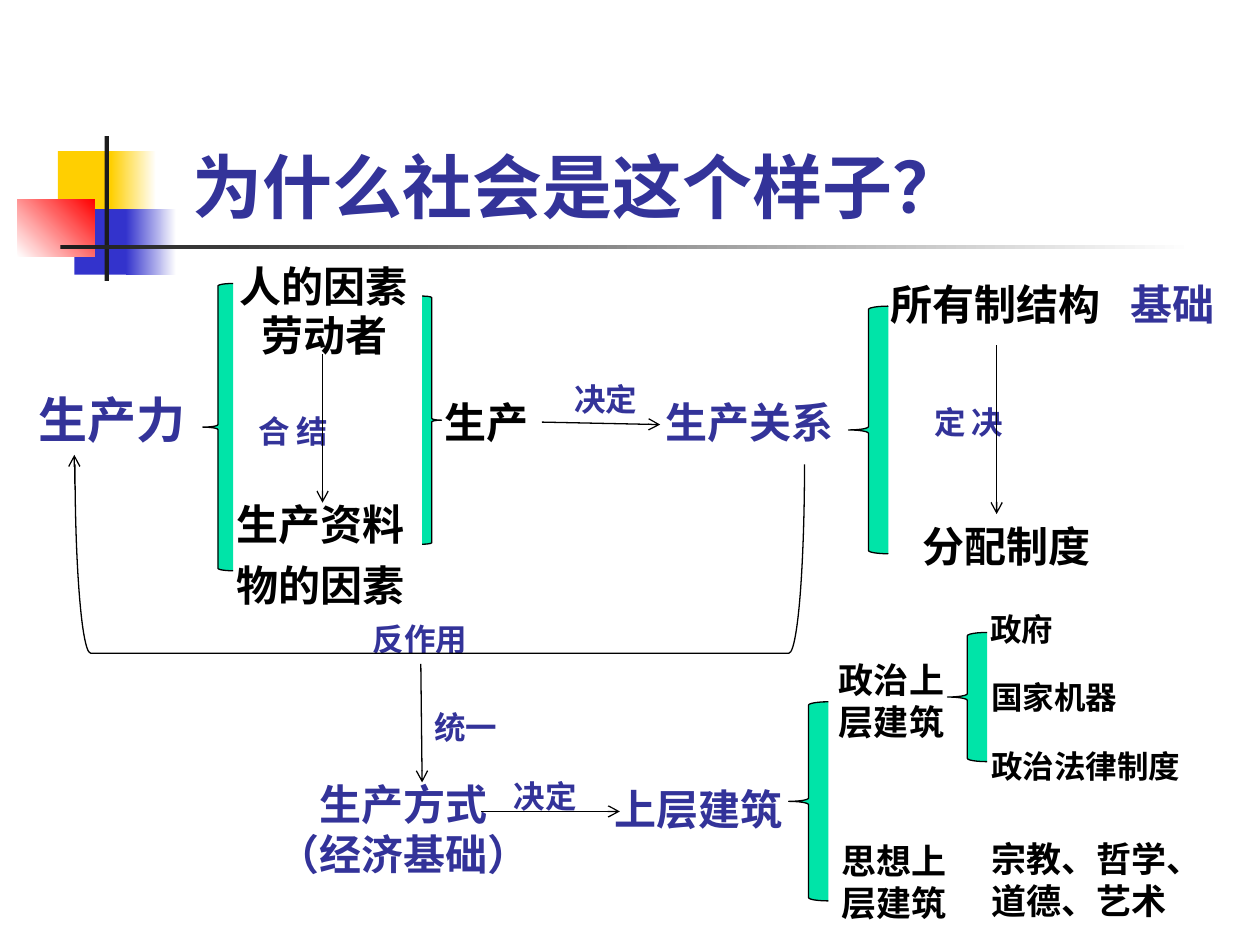
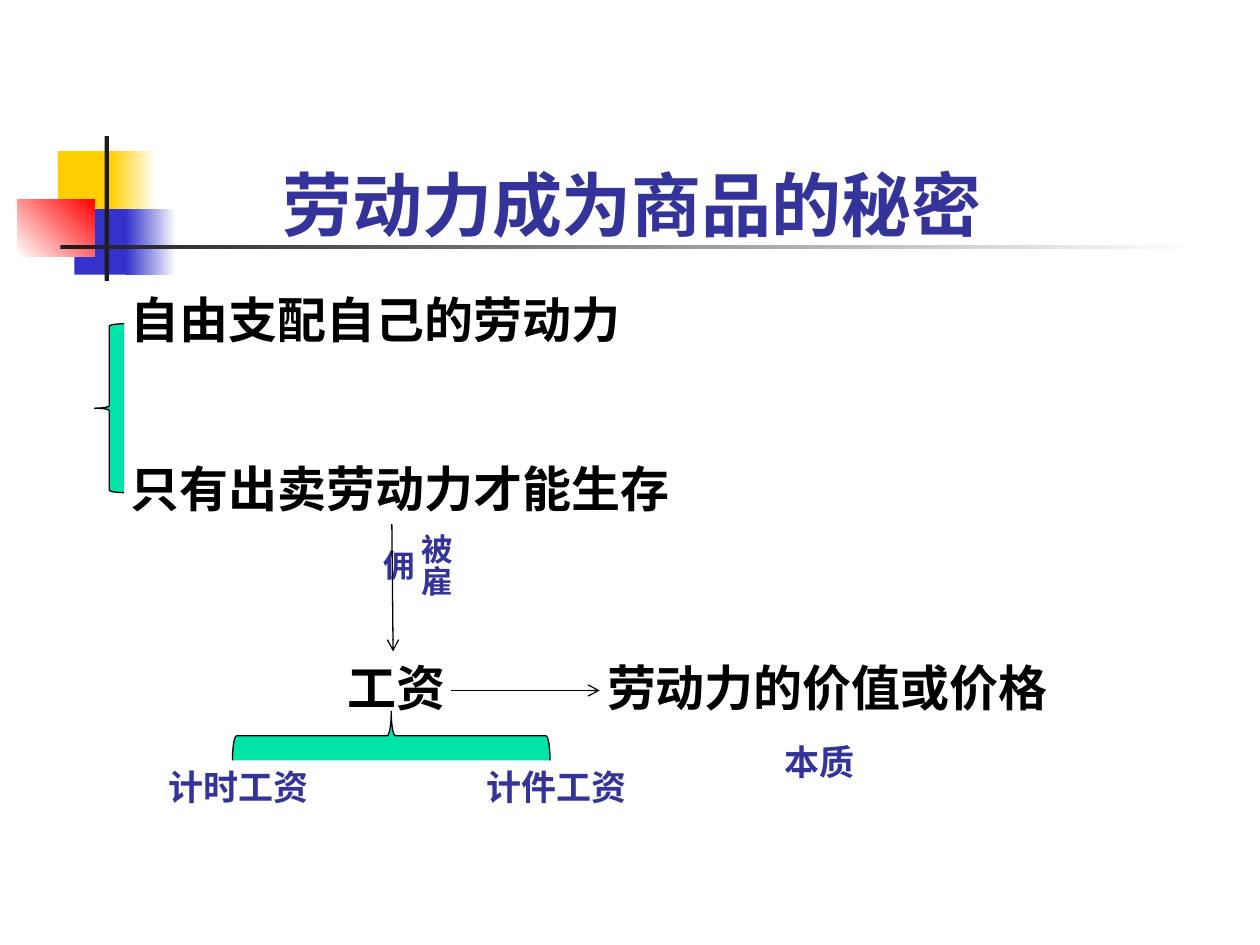
from dataclasses import dataclass, field

from lxml import etree
from pptx import Presentation
from pptx import util as u
from pptx.dml.color import RGBColor
from pptx.enum import lang, shapes, text
from pptx.oxml.ns import qn

COLUMNS, ROWS = 100, 75
TITLE_ONLY = 5


@dataclass(frozen=True)
class Theme:
    font: str = "Arial"
    ink: str = "000000"
    accent: str = "333399"
    brace: str = "00E4A8"
    white: str = "FFFFFF"
    yellow: str = "FFCF01"
    blue: str = "3333CC"
    red: str = "FF0000"
    rule: str = "1C1C1C"
    title: int = 40
    large: int = 28
    medium: int = 24
    small: int = 20
    note: int = 18
    line: float = 0.75


THEME = Theme()


@dataclass(frozen=True)
class Block:
    left: float
    top: float
    width: float
    height: float
    start: str
    end: str | None = None
    angle: int = 0


@dataclass(frozen=True)
class Label:
    words: str
    left: float
    top: float
    size: int = THEME.medium
    color: str = THEME.ink
    width: float | None = None
    centered: bool = False
    column_height: float | None = None


@dataclass(frozen=True)
class Brace:
    left: float
    top: float
    width: float
    height: float
    kind: shapes.MSO_SHAPE = shapes.MSO_SHAPE.LEFT_BRACE
    rotation: int = 0
    fill: str | None = THEME.brace


@dataclass(frozen=True)
class Arrow:
    x1: float
    y1: float
    x2: float
    y2: float


@dataclass(frozen=True)
class Diagram:
    title: Label
    labels: list[Label] = field(default_factory=list)
    braces: list[Brace] = field(default_factory=list)
    arrows: list[Arrow] = field(default_factory=list)


def accent(words: str, left: float, top: float, size: int = THEME.note, **options) -> Label:
    return Label(words, left, top, size, THEME.accent, **options)


MASTER_BLOCKS = [
    Block(4.6, 12, 4.8, 5.2, THEME.yellow),
    Block(8.8, 12, 3.6, 5.2, THEME.yellow, THEME.white),
    Block(5.9, 16.6, 4.6, 5.2, THEME.blue),
    Block(10, 16.6, 4, 5.2, THEME.blue, THEME.white),
    Block(1.4, 15.8, 6.1, 4.6, THEME.white, THEME.red, 45),
    Block(8.3, 10.8, 0.35, 11.5, THEME.rule),
    Block(4.8, 19.45, 90, 0.35, THEME.rule, THEME.white),
]

SOCIETY = Diagram(
    title=accent("为什么社会是这个样子？", 14.3, 10.9, THEME.title, width=64.3),
    labels=[
        accent("生产力", 2.1, 30.4, THEME.large),
        Label("人的因素", 18, 20.2),
        Label("劳动者", 19.8, 24.1),
        Label("物的因素", 17.8, 43.9),
        Label("生产资料", 17.8, 39.1),
        accent("结合", 21.7, 32, column_height=6.3),
        Label("生产", 34.3, 31),
        accent("决定", 44.6, 29.7),
        accent("生产关系", 51.8, 31, THEME.medium, width=16.1),
        Label("所有制结构", 69.7, 21.6, width=19.9),
        accent("基础", 88.7, 21.6, THEME.medium),
        accent("决定", 75.3, 31.3, column_height=6.3),
        Label("分配制度", 72.2, 40.8),
        accent("反作用", 28.6, 48.7),
        accent("统一", 33.5, 55.7),
        accent("生产方式\n（经济基础）", 21, 61.3, THEME.medium, centered=True),
        accent("决定", 39.8, 61.2),
        accent("上层建筑", 47.8, 61.7, THEME.medium),
        Label("政治上\n层建筑", 65.6, 51.8, THEME.small),
        Label("政府", 77.6, 47.9, THEME.note),
        Label("国家机器", 77.7, 53.3, THEME.note),
        Label("政治法律制度", 77.7, 58.8, THEME.note),
        Label("思想上\n层建筑", 65.8, 66.1, THEME.small),
        Label("宗教、哲学、\n道德、艺术", 77.7, 66, THEME.small),
    ],
    braces=[
        Brace(16.1, 22.5, 2.4, 22.8),
        Brace(33.5, 23.5, 1.55, 19.7, shapes.MSO_SHAPE.RIGHT_BRACE),
        Brace(67.35, 24.3, 3.15, 19.65),
        Brace(62.6, 55.7, 3.15, 15.8),
        Brace(75.2, 50.2, 3.15, 10.25),
        Brace(27.4, 15.4, 15, 57.9, shapes.MSO_SHAPE.RIGHT_BRACKET, 90, None),
    ],
    arrows=[
        Arrow(25.6, 28.1, 25.6, 39.9),
        Arrow(43, 33.5, 52.4, 33.7),
        Arrow(79.1, 27.4, 79.1, 40.8),
        Arrow(33.4, 52.7, 33.5, 62.1),
        Arrow(38.2, 64.4, 49.2, 64.4),
        Arrow(5.9, 38.4, 5.9, 36.1),
    ],
)

LABOUR = Diagram(
    title=accent("劳动力成为商品的秘密", 21.4, 12.3, THEME.title),
    labels=[
        Label("自由支配自己的劳动力", 9.4, 22.5, THEME.large),
        Label("只有出卖劳动力才能生存", 9.4, 35.9, THEME.large),
        accent("被雇佣", 31.6, 41.4, column_height=9.4, centered=True),
        Label("工资", 24.8, 51.7, THEME.large, width=13.4, centered=True),
        Label("劳动力的价值或价格", 47.2, 51.7, THEME.large),
        accent("本质", 61.3, 58.3, THEME.small),
        accent("计时工资", 12.4, 60.3, THEME.small),
        accent("计件工资", 37.6, 60.3, THEME.small),
    ],
    braces=[
        Brace(7.5, 25.7, 2.35, 13.4),
        Brace(29.1, 45.8, 3.9, 25.2, rotation=90),
    ],
    arrows=[
        Arrow(31.1, 41.6, 31.2, 51.7),
        Arrow(35.8, 54.8, 47.6, 54.8),
    ],
)


def grid(deck, *cells: float) -> list[int]:
    units = (deck.slide_width / COLUMNS, deck.slide_height / ROWS)
    return [round(cell * units[i % 2]) for i, cell in enumerate(cells)]


def write(box, words: str, *, size: int, color: str, centered: bool = False,
          vertical: bool = False, wrap: bool = False) -> None:
    frame = box.text_frame
    frame.text = words
    frame.word_wrap = wrap
    frame.auto_size = text.MSO_AUTO_SIZE.SHAPE_TO_FIT_TEXT
    frame.vertical_anchor = text.MSO_ANCHOR.TOP
    across, along = (0.05, 0.1) if vertical else (0.1, 0.05)
    frame.margin_left = frame.margin_right = u.Inches(across)
    frame.margin_top = frame.margin_bottom = u.Inches(along)
    if vertical:
        next(box.element.iter(qn("a:bodyPr"))).set("vert", "eaVert")
    for para in frame.paragraphs:
        para.alignment = text.PP_ALIGN.CENTER if centered else text.PP_ALIGN.LEFT
        for span in para.runs:
            span.font.name = THEME.font
            span.font.size = u.Pt(size)
            span.font.bold = True
            span.font.color.rgb = RGBColor.from_string(color)
            span.font.language_id = lang.MSO_LANGUAGE_ID.SIMPLIFIED_CHINESE
    for properties in box.element.iter(qn("a:rPr")):
        etree.SubElement(properties, qn("a:ea"), typeface=THEME.font)


def label_size(label: Label) -> tuple[float, float]:
    if label.column_height:
        return 5, label.column_height
    lines = label.words.split("\n")
    em = label.size / 7.2
    width = label.width or max(map(len, lines)) * em + 2
    return width, len(lines) * em * 1.2 + 1


def place_label(deck, page, label: Label, title: bool = False) -> None:
    frame = grid(deck, label.left, label.top, *label_size(label))
    if title:
        box = page.shapes.title
        box.left, box.top, box.width, box.height = frame
    else:
        box = page.shapes.add_textbox(*frame)
    vertical = label.column_height is not None
    write(box, label.words, size=label.size, color=label.color,
          centered=label.centered, vertical=vertical,
          wrap=vertical or (label.width is not None and not title))


def draw_brace(deck, page, brace: Brace) -> None:
    shape = page.shapes.add_shape(
        brace.kind, *grid(deck, brace.left, brace.top, brace.width, brace.height))
    shape.rotation = brace.rotation
    shape.shadow.inherit = False
    if brace.fill:
        shape.fill.solid()
        shape.fill.fore_color.rgb = RGBColor.from_string(brace.fill)
    else:
        shape.fill.background()
    shape.line.color.rgb = RGBColor.from_string(THEME.ink)
    shape.line.width = u.Pt(THEME.line)


def draw_arrow(deck, page, arrow: Arrow) -> None:
    connector = page.shapes.add_connector(
        shapes.MSO_CONNECTOR.STRAIGHT, *grid(deck, arrow.x1, arrow.y1, arrow.x2, arrow.y2))
    connector.line.color.rgb = RGBColor.from_string(THEME.ink)
    connector.line.width = u.Pt(THEME.line)
    properties = connector.element.spPr
    etree.SubElement(properties.find(qn("a:ln")), qn("a:tailEnd"), type="arrow")
    etree.SubElement(properties, qn("a:effectLst"))


def decorate_master(deck, page) -> None:
    tree = deck.slide_master.element.cSld.spTree
    for position, block in enumerate(MASTER_BLOCKS, start=2):
        shape = page.shapes.add_shape(
            shapes.MSO_SHAPE.RECTANGLE,
            *grid(deck, block.left, block.top, block.width, block.height))
        shape.shadow.inherit = False
        shape.line.fill.background()
        if block.end:
            shape.fill.gradient()
            shape.fill.gradient_angle = block.angle
            for stop, color in zip(shape.fill.gradient_stops, (block.start, block.end)):
                stop.color.rgb = RGBColor.from_string(color)
        else:
            shape.fill.solid()
            shape.fill.fore_color.rgb = RGBColor.from_string(block.start)
        shape.name = f"Master block {position - 1}"
        shape.element.nvSpPr.cNvPr.set("id", str(100 + position))
        tree.insert(position, shape.element)


def draw_diagram(deck, page, diagram: Diagram) -> None:
    place_label(deck, page, diagram.title, title=True)
    for label in diagram.labels:
        place_label(deck, page, label)
    for brace in diagram.braces:
        draw_brace(deck, page, brace)
    for arrow in diagram.arrows:
        draw_arrow(deck, page, arrow)


def main() -> None:
    deck = Presentation()
    deck.slide_width, deck.slide_height = u.Inches(10), u.Inches(7.5)
    diagrams = [SOCIETY, LABOUR]
    pages = [deck.slides.add_slide(deck.slide_layouts[TITLE_ONLY]) for _ in diagrams]
    decorate_master(deck, pages[0])
    for page, diagram in zip(pages, diagrams):
        draw_diagram(deck, page, diagram)
    deck.save("out.pptx")


if __name__ == "__main__":
    main()
